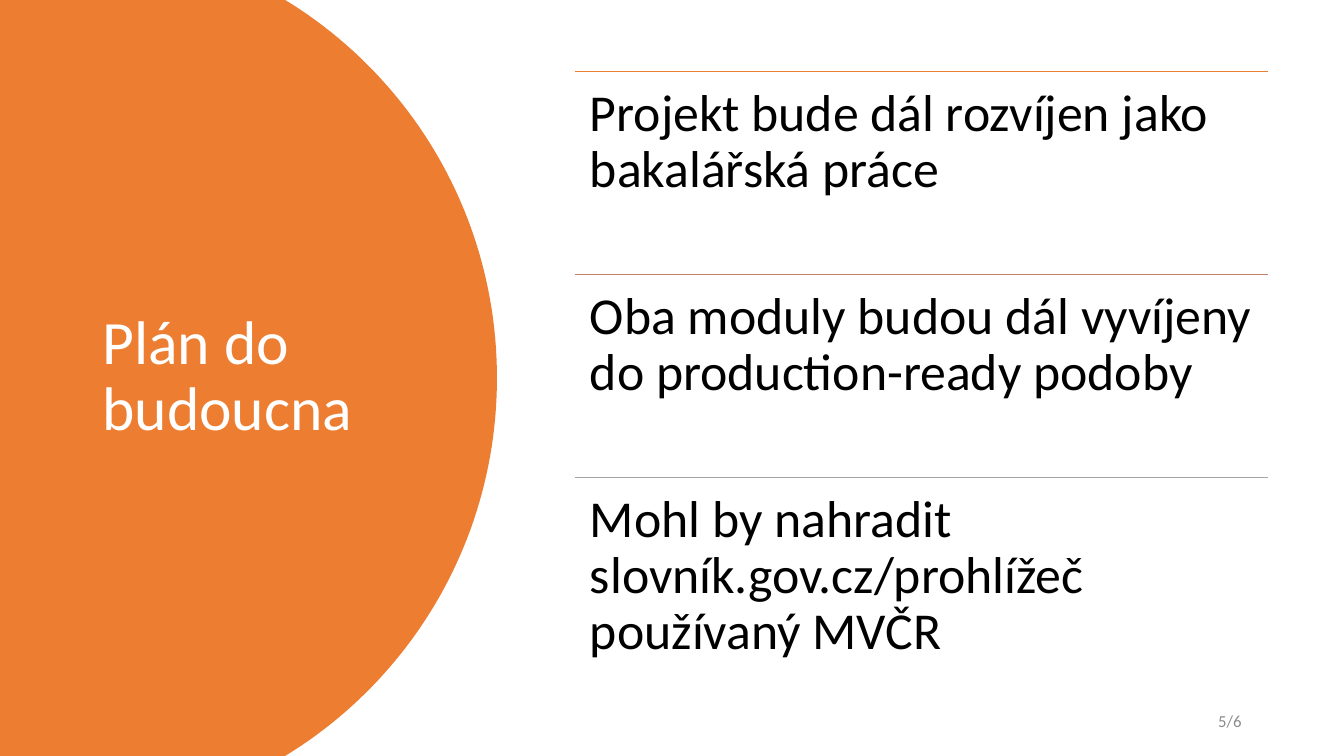
from lxml import etree
from pptx import Presentation
from pptx.dml.color import RGBColor as Rgb
from pptx.enum.shapes import MSO_CONNECTOR as Conn
from pptx.enum.text import MSO_ANCHOR as Anchor, MSO_AUTO_SIZE as Fit, PP_ALIGN as Align
from pptx.oxml.ns import qn
from pptx.util import Pt

HUES = {"orange": "ED7D31", "clay": "C48170", "gray": "A5A5A5",
        "white": "FFFFFF", "black": "000000", "dim": "8C8C8C"}


def bend(a, b, c, d, steps=48):
    """Points along a cubic curve, without its start."""
    for i in range(1, steps + 1):
        t = i / steps
        u = 1 - t
        yield tuple(u**3 * p + 3 * u * u * t * q + 3 * u * t * t * r + t**3 * s
                    for p, q, r, s in zip(a, b, c, d))


class Deck:
    font = "Calibri"

    def __init__(self, wide, high):
        self.prs = Presentation()
        self.prs.slide_width, self.prs.slide_height = Pt(wide), Pt(high)
        self.slide = self.prs.slides.add_slide(self.prs.slide_layouts[5])
        self.shapes = self.slide.shapes

    def fill_text(self, shape, text, size, hue, anchor=Anchor.TOP,
                  align=Align.LEFT, pad=(7.2, 3.6), lead=1.0, after=0):
        frame = shape.text_frame
        frame.word_wrap, frame.auto_size = True, Fit.NONE
        frame.vertical_anchor = anchor
        frame.margin_left = frame.margin_right = Pt(pad[0])
        frame.margin_top = frame.margin_bottom = Pt(pad[1])
        para = frame.paragraphs[0]
        para.alignment, para.line_spacing = align, lead
        para.space_before, para.space_after = Pt(0), Pt(after)
        run = para.add_run()
        run.text = text
        run.font.name, run.font.size = self.font, Pt(size)
        run.font.color.rgb = Rgb.from_string(HUES[hue])

    def title(self, box, text, size, hue):
        shape = self.shapes.title
        shape.left, shape.top, shape.width, shape.height = map(Pt, box)
        self.fill_text(shape, text, size, hue, anchor=Anchor.MIDDLE, lead=0.9)

    def text(self, box, text, size, hue, **style):
        self.fill_text(self.shapes.add_textbox(*map(Pt, box)), text, size, hue, **style)

    def rule(self, x, y, wide, hue):
        line = self.shapes.add_connector(Conn.STRAIGHT, Pt(x), Pt(y), Pt(x + wide), Pt(y))
        line.line.color.rgb = Rgb.from_string(HUES[hue])
        line.line.width = Pt(1)
        etree.SubElement(line._element.spPr, qn("a:effectLst"))

    def panel(self, points, hue):
        first, *rest = [(Pt(x), Pt(y)) for x, y in points]
        form = self.shapes.build_freeform(*first)
        form.add_line_segments(rest, close=True)
        shape = form.convert_to_shape()
        shape.shadow.inherit = False
        shape.fill.solid()
        shape.fill.fore_color.rgb = Rgb.from_string(HUES[hue])
        shape.line.fill.background()
        # Send behind the title
        self.shapes.title._element.addprevious(shape._element)


def main():
    deck = Deck(960, 540)

    # Round panel on the left, with the title on it
    top, tip, foot = (203.7, 0), (355, 270), (203.7, 540)
    arc = [top, *bend(top, (294.5, 55.4), (355, 155.5), tip),
           *bend(tip, (355, 384.5), (294.5, 484.6), foot)]
    deck.panel([(0, 0), *arc, (0, 540)], "orange")
    deck.title((66, 50.5, 232.5, 438.5), "Plán do budoucna", 44, "white")

    # Three plans, each under a rule
    plans = [("orange", "Projekt bude dál rozvíjen jako bakalářská práce"),
             ("clay", "Oba moduly budou dál vyvíjeny do production-ready podoby"),
             ("gray", "Mohl by nahradit slovník.gov.cz/prohlížeč používaný MVČR")]
    left, start, wide, step = 410.4, 51, 495, 145
    for i, (hue, plan) in enumerate(plans):
        y = start + i * step
        deck.rule(left, y, wide, hue)
        deck.text((left, y, wide, step), plan, 37, "black",
                  pad=(11, 11), lead=0.9, after=13)

    # Page number
    deck.text((678, 500.5, 216, 28.75), "5/6", 12, "dim",
              anchor=Anchor.MIDDLE, align=Align.RIGHT)

    deck.prs.save("out.pptx")


if __name__ == "__main__":
    main()
